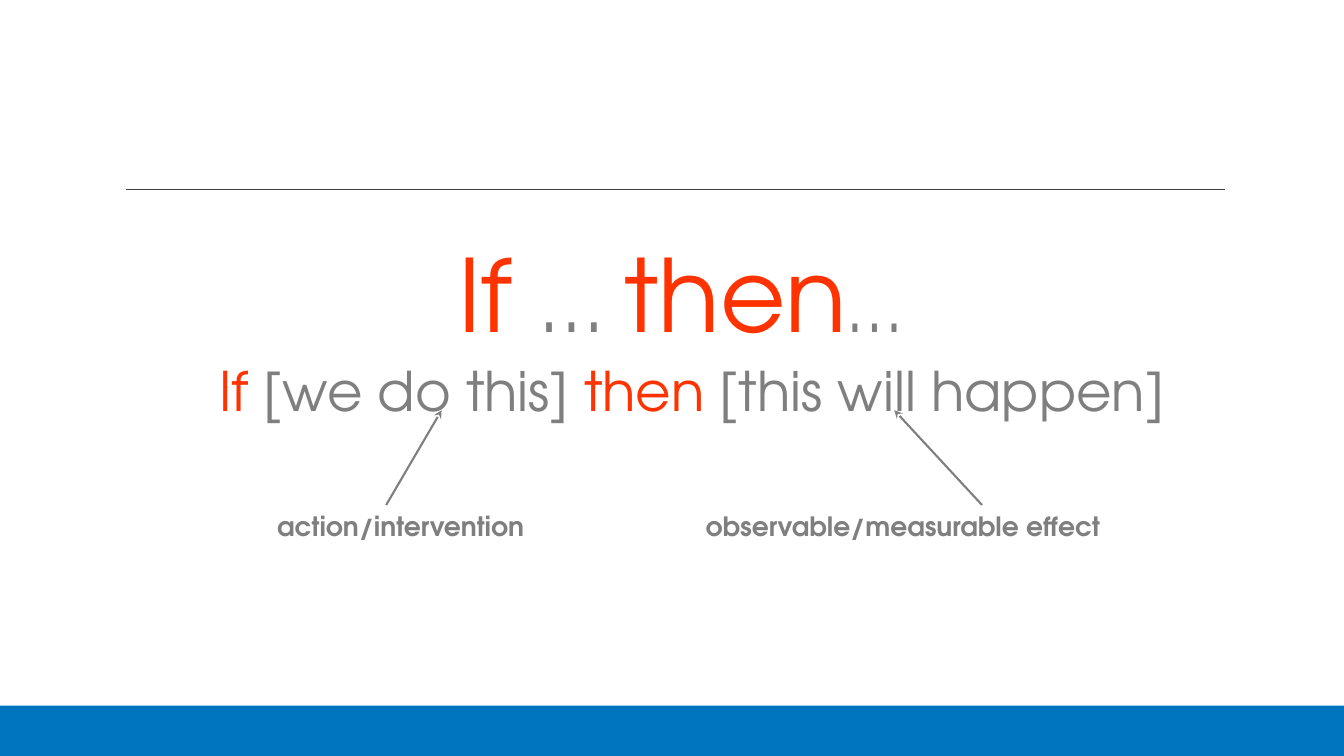
from dataclasses import dataclass

import pptx
import pptx.dml.color
import pptx.enum.shapes
import pptx.enum.text
import pptx.oxml
import pptx.oxml.ns
import pptx.util
from pptx.util import Inches

FONT = "TeX Gyre Adventor"
COLORS = {"keyword": "FF3300", "text": "7F7F7F", "rule": "3F3F3F", "footer": "0075BF"}
LABEL_TOP = 5.01
ARROW_TIP = 4.07
ALIGN = pptx.enum.text.PP_ALIGN


@dataclass
class Phrase:
    text: str
    size: float
    color: str = "text"
    bold: bool = False


@dataclass
class Label:
    text: str
    left: float
    width: float
    arrow_start: float
    arrow_end: float


HEADLINE = [
    Phrase("If ", 72, "keyword"),
    Phrase("… ", 55),
    Phrase("then", 72, "keyword"),
    Phrase("…", 48),
]
HYPOTHESIS = [
    Phrase("If ", 39, "keyword"),
    Phrase("[we do this] ", 39),
    Phrase("then ", 39, "keyword"),
    Phrase("[this will happen]", 39),
]
LABELS = [
    Label("action/intervention", 2.65, 2.7, 3.83, 4.38),
    Label("observable/measurable effect", 6.9, 4.18, 9.74, 8.87),
]


def rgb(name: str) -> pptx.dml.color.RGBColor:
    return pptx.dml.color.RGBColor.from_string(COLORS[name])


def write_phrases(frame, phrases: list[Phrase], align) -> None:
    frame_format = {
        "word_wrap": True,
        "auto_size": pptx.enum.text.MSO_AUTO_SIZE.NONE,
        "vertical_anchor": pptx.enum.text.MSO_ANCHOR.TOP,
        "margin_left": Inches(0.1),
        "margin_right": Inches(0.1),
        "margin_top": Inches(0.05),
        "margin_bottom": Inches(0.05),
    }
    for key, value in frame_format.items():
        setattr(frame, key, value)
    paragraph = frame.paragraphs[0]
    paragraph.alignment = align
    for phrase in phrases:
        run = paragraph.add_run()
        run.text = phrase.text
        font_format = {"name": FONT, "size": pptx.util.Pt(phrase.size), "bold": phrase.bold}
        for key, value in font_format.items():
            setattr(run.font, key, value)
        run.font.color.rgb = rgb(phrase.color)


def add_text(slide, left: float, top: float, width: float, height: float,
             phrases: list[Phrase], align) -> None:
    box = slide.shapes.add_textbox(Inches(left), Inches(top), Inches(width), Inches(height))
    write_phrases(box.text_frame, phrases, align)


def add_line(slide, start: tuple[float, float], end: tuple[float, float],
             color: str, weight: float, arrow: bool = False) -> None:
    line = slide.shapes.add_connector(
        pptx.enum.shapes.MSO_CONNECTOR.STRAIGHT, *map(Inches, start + end))
    line.line.color.rgb = rgb(color)
    line.line.width = pptx.util.Pt(weight)
    if arrow:
        outline = line.line._get_or_add_ln()
        outline.append(pptx.oxml.parse_xml(
            f'<a:tailEnd {pptx.oxml.ns.nsdecls("a")} type="stealth"/>'))
    line._element.spPr.append(pptx.oxml.parse_xml(
        f'<a:effectLst {pptx.oxml.ns.nsdecls("a")}/>'))


def main() -> None:
    deck = pptx.Presentation()
    deck.slide_width, deck.slide_height = Inches(13.33), Inches(7.5)
    slide = deck.slides.add_slide(deck.slide_layouts.get_by_name("Title Only"))

    # Rule and footer band
    add_line(slide, (1.25, 1.88), (12.15, 1.88), "rule", 1)
    footer = slide.shapes.add_shape(
        pptx.enum.shapes.MSO_SHAPE.RECTANGLE, 0, Inches(7), deck.slide_width, Inches(0.5))
    footer.shadow.inherit = False
    footer.fill.solid()
    footer.fill.fore_color.rgb = rgb("footer")
    footer.line.fill.background()

    # Headline and the hypothesis under it
    headline = slide.shapes.title
    headline_place = {"left": 2.73, "top": 2.25, "width": 8.03, "height": 1.31}
    for key, value in headline_place.items():
        setattr(headline, key, Inches(value))
    write_phrases(headline.text_frame, HEADLINE, ALIGN.CENTER)
    add_text(slide, 1.94, 3.49, 9.84, 0.64, HYPOTHESIS, ALIGN.CENTER)

    # Labels with arrows up to the bracketed parts
    for label in LABELS:
        add_text(slide, label.left, LABEL_TOP, label.width, 0.4,
                 [Phrase(label.text, 19, bold=True)], ALIGN.LEFT)
        add_line(slide, (label.arrow_start, LABEL_TOP), (label.arrow_end, ARROW_TIP),
                 "text", 1.5, arrow=True)

    deck.save("out.pptx")


if __name__ == "__main__":
    main()
